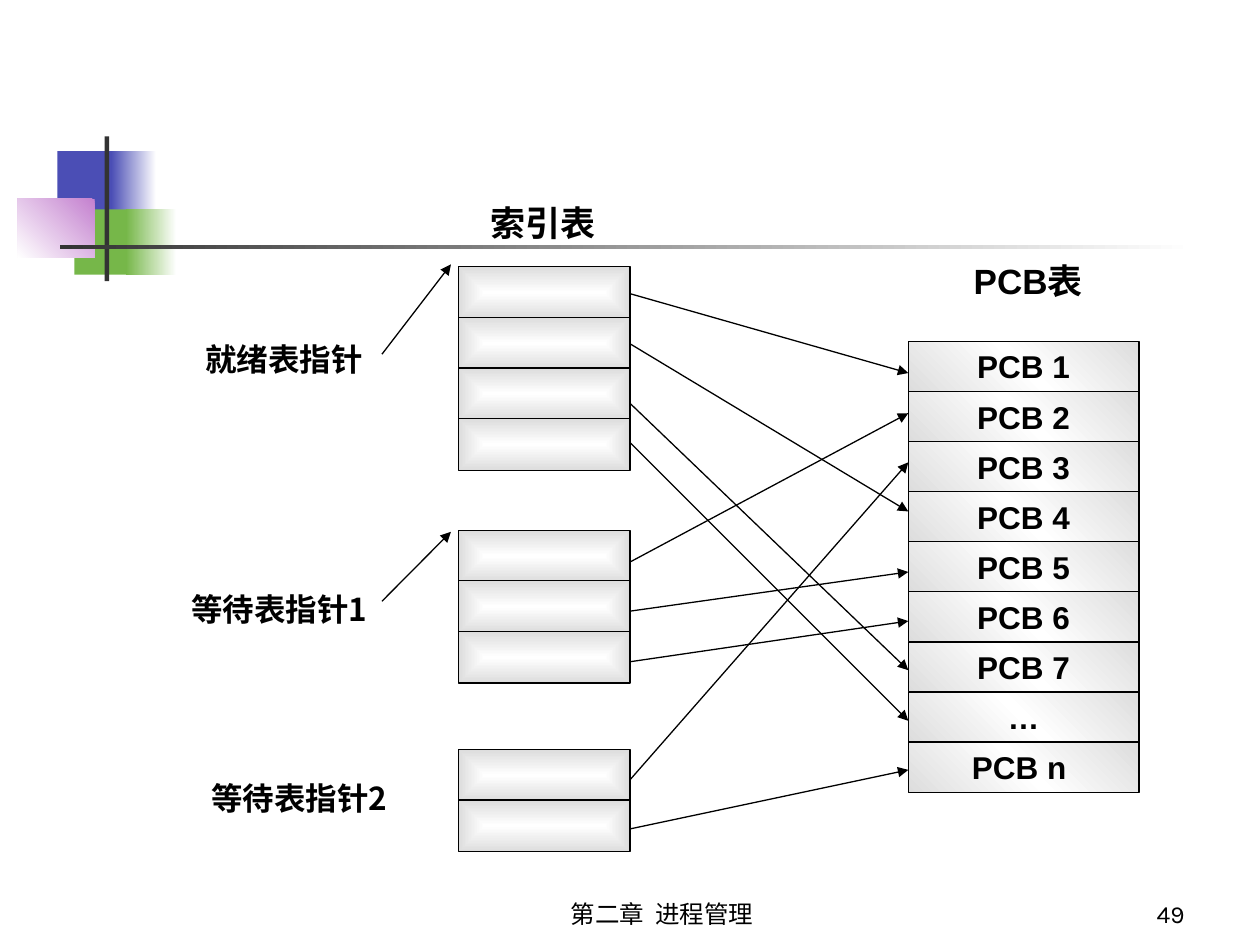
from dataclasses import dataclass

from pptx import Presentation
from pptx.dml.color import RGBColor
from pptx.enum.shapes import MSO_CONNECTOR as Connector, MSO_SHAPE as Preset
from pptx.enum.text import MSO_ANCHOR as Anchor, PP_ALIGN as Align
from pptx.oxml import parse_xml
from pptx.oxml.ns import nsdecls, qn
from pptx.util import Cm, Pt


@dataclass(frozen=True)
class Theme:
    ink: str = "000000"
    white: str = "FFFFFF"
    shade: str = "DDDDDD"
    bar: str = "333333"
    blue: str = "4B4EB5"
    green: str = "76B749"
    violet: str = "C481CF"
    latin: str = "Arial"
    cjk: str = "Noto Sans CJK SC"
    footer: str = "Karla"
    heading_size: float = 20
    label_size: float = 18
    footer_size: float = 14
    line_width: float = 0.75


THEME = Theme()
FADE_LEFT = '<a:lin ang="10800000" scaled="0"/>'
DIAGONAL = '<a:lin ang="8100000" scaled="0"/>'
FROM_CENTRE = '<a:path path="rect"><a:fillToRect l="50000" t="50000" r="50000" b="50000"/></a:path>'

INDEX_LEFT, INDEX_WIDTH, INDEX_PITCH, INDEX_HEIGHT = 9.25, 3.45, 1.02, 1.04
PCB_LEFT, PCB_TOP, PCB_WIDTH, PCB_PITCH, PCB_HEIGHT = 18.31, 6.88, 4.65, 1.01, 1.02

INDEX_TABLES = [(5.38, 4), (10.69, 3), (15.11, 2)]
PCB_NAMES = [f"PCB {number}" for number in range(1, 8)] + ["…", "PCB n "]
INDEX_LINKS = [
    (5.92, 7.52), (6.93, 10.31), (8.13, 13.51), (8.92, 14.53), (11.33, 8.33),
    (12.32, 11.53), (13.34, 12.52), (15.72, 9.32), (16.71, 15.52),
]
POINTER_LINKS = [(7.14, 5.33), (12.12, 10.72)]


def add_rect(slide, left, top, width, height, colours, direction=None, outlined=False):
    rect = slide.shapes.add_shape(Preset.RECTANGLE, Cm(left), Cm(top), Cm(width), Cm(height))
    rect.shadow.inherit = False
    if direction:
        last = len(colours) - 1
        stops = "".join(
            f'<a:gs pos="{100000 * step // last}"><a:srgbClr val="{colour}"/></a:gs>'
            for step, colour in enumerate(colours)
        )
        gradient = parse_xml(
            f'<a:gradFill {nsdecls("a")} rotWithShape="1">'
            f"<a:gsLst>{stops}</a:gsLst>{direction}</a:gradFill>"
        )
        rect._element.spPr.find(qn("a:prstGeom")).addnext(gradient)
    else:
        rect.fill.solid()
        rect.fill.fore_color.rgb = RGBColor.from_string(colours[0])
    if outlined:
        rect.line.color.rgb = RGBColor.from_string(THEME.ink)
        rect.line.width = Pt(THEME.line_width)
    else:
        rect.line.fill.background()
    return rect


def write(frame, text, size, font=THEME.latin, bold=True, align=Align.LEFT):
    paragraph = frame.paragraphs[0]
    paragraph.alignment = align
    run = paragraph.add_run()
    run.text = text
    run.font.size = Pt(size)
    run.font.name = font
    run.font.bold = bold
    run.font.color.rgb = RGBColor.from_string(THEME.ink)
    east_asian = parse_xml(f'<a:ea {nsdecls("a")} typeface="{THEME.cjk}"/>')
    run.font._element.find(qn("a:latin")).addnext(east_asian)


def add_label(slide, left, top, width, height, text, size, wrap=False, anchor=Anchor.TOP, **style):
    label = slide.shapes.add_textbox(Cm(left), Cm(top), Cm(width), Cm(height))
    label.text_frame.word_wrap = wrap
    label.text_frame.vertical_anchor = anchor
    write(label.text_frame, text, size, **style)


def add_arrow(slide, x1, y1, x2, y2):
    arrow = slide.shapes.add_connector(Connector.STRAIGHT, Cm(x1), Cm(y1), Cm(x2), Cm(y2))
    arrow.line.color.rgb = RGBColor.from_string(THEME.ink)
    arrow.line.width = Pt(THEME.line_width)
    arrow.line._get_or_add_ln().append(parse_xml(f'<a:tailEnd {nsdecls("a")} type="triangle"/>'))
    arrow._element.spPr.append(parse_xml(f'<a:effectLst {nsdecls("a")}/>'))


def add_ornament(slide):
    add_rect(slide, 1.16, 3.05, 1.22, 1.32, [THEME.blue])
    add_rect(slide, 2.24, 3.05, 0.91, 1.32, [THEME.white, THEME.blue], FADE_LEFT)
    add_rect(slide, 1.5, 4.22, 1.17, 1.32, [THEME.green])
    add_rect(slide, 2.54, 4.22, 1.02, 1.32, [THEME.white, THEME.green], FADE_LEFT)
    add_rect(slide, 0.35, 4.01, 1.56, 1.18, [THEME.violet, THEME.white], DIAGONAL)
    add_rect(slide, 2.11, 2.75, 0.09, 2.92, [THEME.bar])
    add_rect(slide, 1.22, 4.94, 22.86, 0.09, [THEME.white, THEME.bar], FADE_LEFT)


def add_index_tables(slide):
    for top, count in INDEX_TABLES:
        for row in range(count):
            add_rect(slide, INDEX_LEFT, top + row * INDEX_PITCH, INDEX_WIDTH, INDEX_HEIGHT,
                     [THEME.white, THEME.shade], FROM_CENTRE, outlined=True)


def add_pcb_table(slide):
    for row, name in enumerate(PCB_NAMES):
        cell = add_rect(slide, PCB_LEFT, PCB_TOP + row * PCB_PITCH, PCB_WIDTH, PCB_HEIGHT,
                        [THEME.shade, THEME.white, THEME.shade], DIAGONAL, outlined=True)
        cell.text_frame.word_wrap = True
        cell.text_frame.vertical_anchor = Anchor.TOP
        write(cell.text_frame, name, THEME.label_size, align=Align.CENTER)


def add_links(slide):
    for start, end in INDEX_LINKS:
        add_arrow(slide, INDEX_LEFT + INDEX_WIDTH, start, PCB_LEFT, end)
    for start, end in POINTER_LINKS:
        add_arrow(slide, 7.7, start, 9.09, end)


def add_labels(slide):
    add_label(slide, 9.63, 3.94, 2.62, 1.12, "索引表", THEME.heading_size)
    add_label(slide, 19.38, 5.11, 2.87, 1.12, "PCB表", THEME.heading_size)
    add_label(slide, 3.89, 6.73, 4.39, 1.02, "就绪表指针", THEME.label_size, wrap=True)
    add_label(slide, 3.61, 11.76, 4.22, 1.02, "等待表指针1", THEME.label_size, font=THEME.cjk)
    add_label(slide, 4.01, 15.57, 4.22, 1.02, "等待表指针2", THEME.label_size, font=THEME.cjk)


def add_footer(slide):
    for left, width, text, align in [
        (9.32, 8.05, "第二章  进程管理", Align.CENTER),
        (18.85, 5.28, "49", Align.RIGHT),
    ]:
        add_label(slide, left, 17.58, width, 1.27, text, THEME.footer_size, wrap=True,
                  anchor=Anchor.BOTTOM, font=THEME.footer, bold=False, align=align)


def main():
    deck = Presentation()
    deck.slide_width, deck.slide_height = Cm(25.4), Cm(19.05)
    slide = deck.slides.add_slide(deck.slide_layouts[6])
    add_ornament(slide)
    add_index_tables(slide)
    add_pcb_table(slide)
    add_links(slide)
    add_labels(slide)
    add_footer(slide)
    deck.save("out.pptx")


if __name__ == "__main__":
    main()
